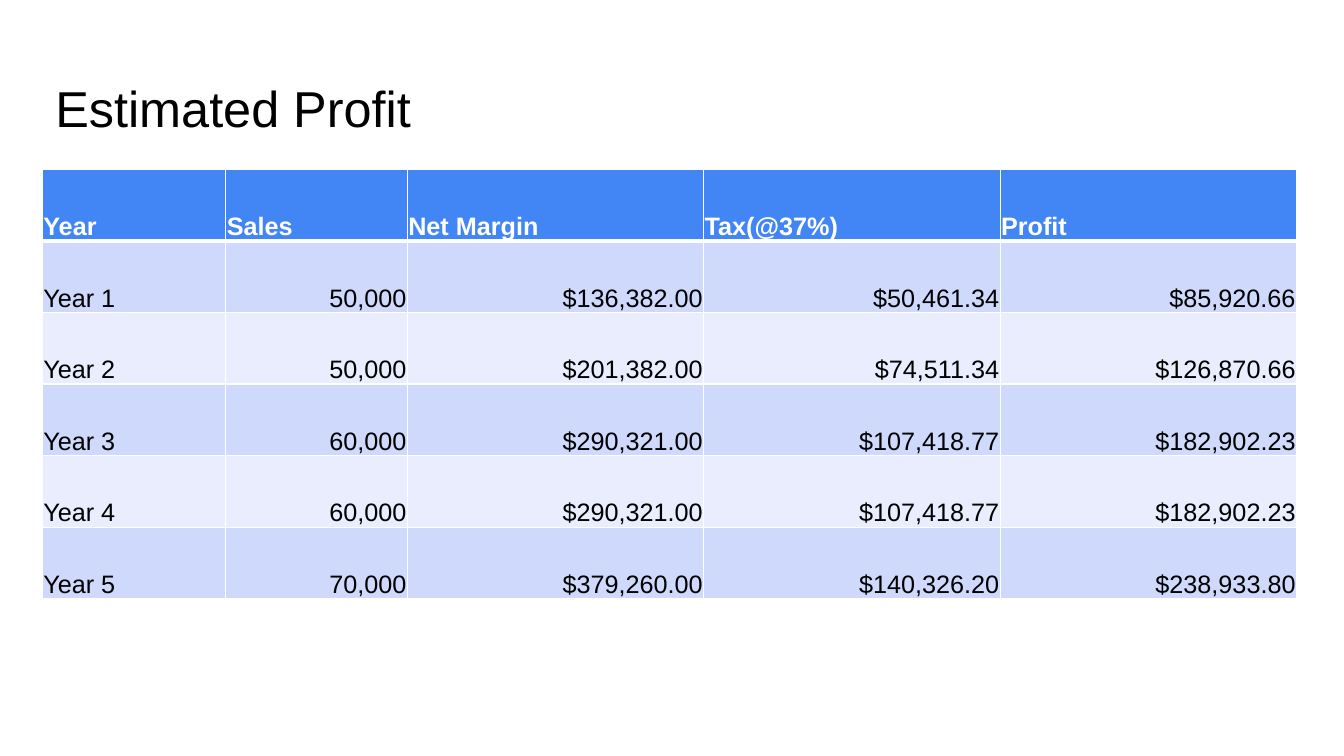
from lxml.etree import SubElement
from pptx import Presentation
from pptx.dml.color import RGBColor
from pptx.enum.text import MSO_ANCHOR as Anchor, PP_ALIGN as Align
from pptx.oxml.ns import qn
from pptx.util import Inches, Pt

WHITE = RGBColor(0xFF, 0xFF, 0xFF)
BLACK = RGBColor(0x00, 0x00, 0x00)
HEADER_BLUE = RGBColor(0x42, 0x85, 0xF4)
BAND_DARK = RGBColor(0xCF, 0xD9, 0xFB)
BAND_LIGHT = RGBColor(0xE9, 0xED, 0xFD)

FONT = "Arial"
COLUMN_WIDTHS = [1.82, 1.8, 2.94, 2.94, 2.94]
ROW_HEIGHT = 0.71
PROFIT_ROWS = [
    ["Year", "Sales", "Net Margin", "Tax(@37%)", "Profit"],
    ["Year 1", "50,000", "$136,382.00", "$50,461.34", "$85,920.66"],
    ["Year 2", "50,000", "$201,382.00", "$74,511.34", "$126,870.66"],
    ["Year 3", "60,000", "$290,321.00", "$107,418.77", "$182,902.23"],
    ["Year 4", "60,000", "$290,321.00", "$107,418.77", "$182,902.23"],
    ["Year 5", "70,000", "$379,260.00", "$140,326.20", "$238,933.80"],
]


def style_text(paragraph, size, color, bold=False):
    for run in paragraph.runs:
        run.font.name = FONT
        run.font.size = Pt(size)
        run.font.bold = bold
        run.font.color.rgb = color


def add_title(slide, text):
    title = slide.shapes.add_textbox(
        Inches(0.45), Inches(0.65), Inches(12.42), Inches(0.84))
    frame = title.text_frame
    frame.word_wrap = True
    frame.vertical_anchor = Anchor.MIDDLE
    frame.margin_left = frame.margin_right = Inches(0.1)
    frame.margin_top = frame.margin_bottom = Inches(0.1)
    frame.text = text
    style_text(frame.paragraphs[0], 36, BLACK)


def set_borders(cell, top, bottom):
    """Draw white cell borders; top and bottom are widths in points."""
    properties = cell._tc.get_or_add_tcPr()
    for side, width in (("L", 1), ("R", 1), ("T", top), ("B", bottom)):
        line = SubElement(properties, qn(f"a:ln{side}"), w=str(Pt(width)))
        fill = SubElement(line, qn("a:solidFill"))
        SubElement(fill, qn("a:srgbClr"), val=str(WHITE))


def fill_cell(cell, text, row, column):
    is_header = row == 0

    # Borders come before the fill in the cell properties
    set_borders(cell, top=3 if row == 1 else 1, bottom=3 if is_header else 1)
    cell.fill.solid()
    if is_header:
        cell.fill.fore_color.rgb = HEADER_BLUE
    else:
        cell.fill.fore_color.rgb = BAND_DARK if row % 2 else BAND_LIGHT

    # Text sits on the bottom edge, figures to the right
    cell.vertical_anchor = Anchor.BOTTOM
    cell.margin_left = cell.margin_right = cell.margin_top = Inches(0.01)
    cell.margin_bottom = 0
    cell.text_frame.text = text
    paragraph = cell.text_frame.paragraphs[0]
    paragraph.alignment = Align.LEFT if is_header or column == 0 else Align.RIGHT
    style_text(paragraph, 18, WHITE if is_header else BLACK, bold=is_header)


def add_profit_table(slide, rows):
    table = slide.shapes.add_table(
        len(rows), len(COLUMN_WIDTHS), Inches(0.42), Inches(1.68),
        Inches(sum(COLUMN_WIDTHS)), Inches(ROW_HEIGHT * len(rows))).table
    for column, width in zip(table.columns, COLUMN_WIDTHS):
        column.width = Inches(width)
    for r, values in enumerate(rows):
        table.rows[r].height = Inches(ROW_HEIGHT)
        for c, value in enumerate(values):
            fill_cell(table.cell(r, c), value, r, c)


def main():
    deck = Presentation()
    deck.slide_width = Inches(13.33)
    deck.slide_height = Inches(7.5)
    slide = deck.slides.add_slide(deck.slide_layouts[6])

    add_title(slide, "Estimated Profit")
    add_profit_table(slide, PROFIT_ROWS)

    deck.save("out.pptx")


if __name__ == "__main__":
    main()
